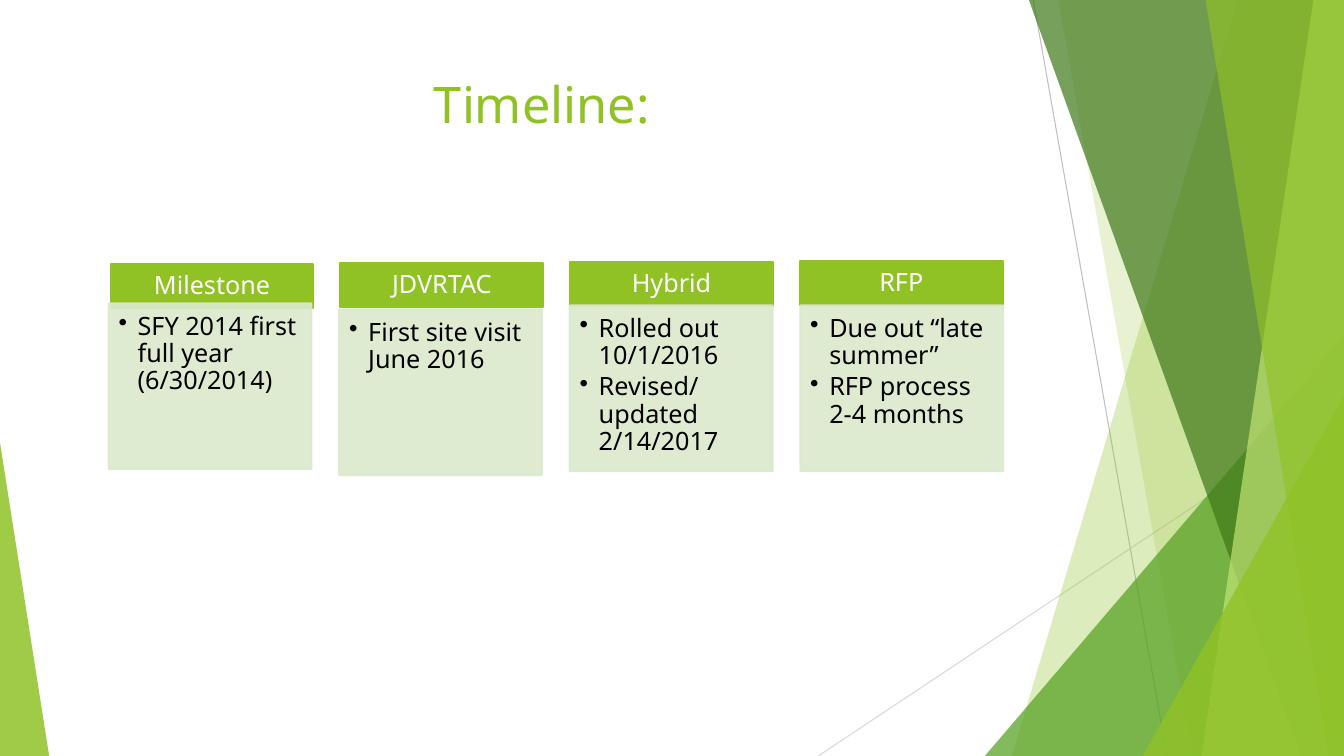
import pptx
import pptx.util
import pptx.dml.color
import pptx.enum.shapes
import pptx.enum.text
import pptx.oxml
import pptx.oxml.ns
from pptx.util import Cm, Pt

# Content
TITLE = "Timeline: "
MILESTONES = [  # heading, points, top of body in cm
    ("Milestone", ["SFY 2014 first full year (6/30/2014)"], 7.65),
    ("JDVRTAC", ["First site visit June 2016"], 7.8),
    ("Hybrid", ["Rolled out 10/1/2016", "Revised/updated 2/14/2017"], 7.7),
    ("RFP", ["Due out “late summer” ", "RFP process 2-4 months"], 7.7),
]


class Theme:
    font = "Noto Sans"
    title_size, text_size = 36, 18
    lime, green, forest, pale = "90C226", "54A021", "3F7819", "C0E474"
    body, white, black = "DBE9CD", "FFFFFF", "000000"
    grey, light_grey = "BFBFBF", "D9D9D9"


WIDTH, HEIGHT = 33.87, 19.05
RAYS = [  # from, to, colour
    ((26.04, 0), (29.41, HEIGHT), Theme.grey),
    ((WIDTH, 10.24), (20.62, HEIGHT), Theme.light_grey),
]
# Bands run to the right edge: x at top, x at bottom, colour, opacity
# Wedges stand on the bottom edge: left, top, width, apex, colour, opacity
FACETS = [
    ("band", 31.19, 25.5, Theme.lime, 30),
    ("band", 26.67, 30.05, Theme.lime, 20),
    ("wedge", 24.82, 8.46, 9.05, 1, Theme.green, 72),
    ("band", 25.93, 32.79, Theme.forest, 70),
    ("band", 33.1, 30.28, Theme.pale, 70),
    ("band", 30.38, 33.48, Theme.lime, 65),
    ("wedge", 28.8, 9.98, 5.07, 1, Theme.lime, 80),
    ("wedge", 0, 11.15, 1.24, 0, Theme.lime, 85),
]
CARD_WIDTH, HEADING_HEIGHT, BODY_HEIGHT = 5.11, 1.12, 4.17

deck = pptx.Presentation()
deck.slide_width, deck.slide_height = Cm(WIDTH), Cm(HEIGHT)
slide = deck.slides.add_slide(deck.slide_layouts[5])
shapes = slide.shapes


def rgb(colour):
    return pptx.dml.color.RGBColor.from_string(colour)


def add_xml(parent, tag, **attributes):
    child = pptx.oxml.parse_xml(f"<{tag} {pptx.oxml.ns.nsdecls('a')}/>")
    for name, value in attributes.items():
        child.set(name, str(value))
    parent.append(child)


def paint(shape, colour, opacity=100, line_width=0):
    shape.shadow.inherit = False
    shape.fill.solid()
    shape.fill.fore_color.rgb = rgb(colour)
    if line_width:
        shape.line.width = Pt(line_width)
        shape.line.color.rgb = rgb(colour)
    else:
        shape.line.fill.background()
    if opacity < 100:
        for paint_colour in shape._element.spPr.iter(pptx.oxml.ns.qn("a:srgbClr")):
            add_xml(paint_colour, "a:alpha", val=opacity * 1000)


def write(shape, paragraphs, size=Theme.text_size, colour=Theme.black, align="CENTER",
          anchor="TOP", insets=(0.25, 0.13, 0.25, 0.13), spacing=0.9, after=0, bullet=False):
    frame = shape.text_frame
    frame.word_wrap = True
    frame.auto_size = pptx.enum.text.MSO_AUTO_SIZE.NONE
    frame.vertical_anchor = getattr(pptx.enum.text.MSO_ANCHOR, anchor)
    (frame.margin_left, frame.margin_top,
     frame.margin_right, frame.margin_bottom) = map(Cm, insets)
    frame.text = "\n".join(paragraphs)
    for paragraph in frame.paragraphs:
        paragraph.alignment = getattr(pptx.enum.text.PP_ALIGN, align)
        paragraph.line_spacing = spacing
        paragraph.space_after = Pt(after)
        paragraph.font.name = Theme.font
        paragraph.font.size = Pt(size)
        paragraph.font.color.rgb = rgb(colour)
        for run in paragraph.runs:
            run.font.name = Theme.font
            run.font.size = Pt(size)
            run.font.color.rgb = rgb(colour)
        if bullet:
            properties = paragraph._p.get_or_add_pPr()
            properties.set("marL", str(Cm(0.48)))
            properties.set("indent", str(-Cm(0.48)))
            add_xml(properties, "a:buChar", char="•")


def add_box(left, top, height, colour, opacity=100):
    box = shapes.add_shape(pptx.enum.shapes.MSO_SHAPE.RECTANGLE,
                           Cm(left), Cm(top), Cm(CARD_WIDTH), Cm(height))
    paint(box, colour, opacity, line_width=1.5)
    return box


def add_band(top_x, bottom_x, colour, opacity):
    outline = shapes.build_freeform(Cm(top_x), 0)
    corners = [(WIDTH, 0), (WIDTH, HEIGHT), (bottom_x, HEIGHT)]
    outline.add_line_segments([(Cm(x), Cm(y)) for x, y in corners])
    paint(outline.convert_to_shape(), colour, opacity)


def add_wedge(left, top, width, apex, colour, opacity):
    wedge = shapes.add_shape(pptx.enum.shapes.MSO_SHAPE.ISOSCELES_TRIANGLE,
                             Cm(left), Cm(top), Cm(width), Cm(HEIGHT - top))
    wedge.adjustments[0] = apex
    paint(wedge, colour, opacity)


# Background rays and facets
for start, end, colour in RAYS:
    ray = shapes.add_connector(pptx.enum.shapes.MSO_CONNECTOR.STRAIGHT,
                               *map(Cm, start + end))
    ray.line.color.rgb = rgb(colour)
    ray.line.width = Pt(0.75)
    add_xml(ray._element.spPr, "a:effectLst")
for kind, *facet in FACETS:
    (add_band if kind == "band" else add_wedge)(*facet)

# Title, in front of the background
title = shapes.title
title.left, title.top, title.width, title.height = map(Cm, (1.88, 1.7, 23.88, 3.66))
write(title, [TITLE], size=Theme.title_size, colour=Theme.lime, spacing=1.0)
shapes._spTree.append(title._element)

# Milestone cards
for index, (heading, points, body_top) in enumerate(MILESTONES):
    heading_box = add_box(2.79 + 5.79 * index, 6.65 - 0.025 * index,
                          HEADING_HEIGHT, Theme.lime)
    write(heading_box, [heading], colour=Theme.white, anchor="MIDDLE",
          insets=(0.36, 0.2, 0.36, 0.2))
    body_box = add_box(2.74 + 5.81 * index, body_top, BODY_HEIGHT, Theme.body, opacity=90)
    write(body_box, points, align="LEFT", insets=(0.25, 0.25, 0.36, 0.41),
          after=3, bullet=True)

deck.save("out.pptx")
